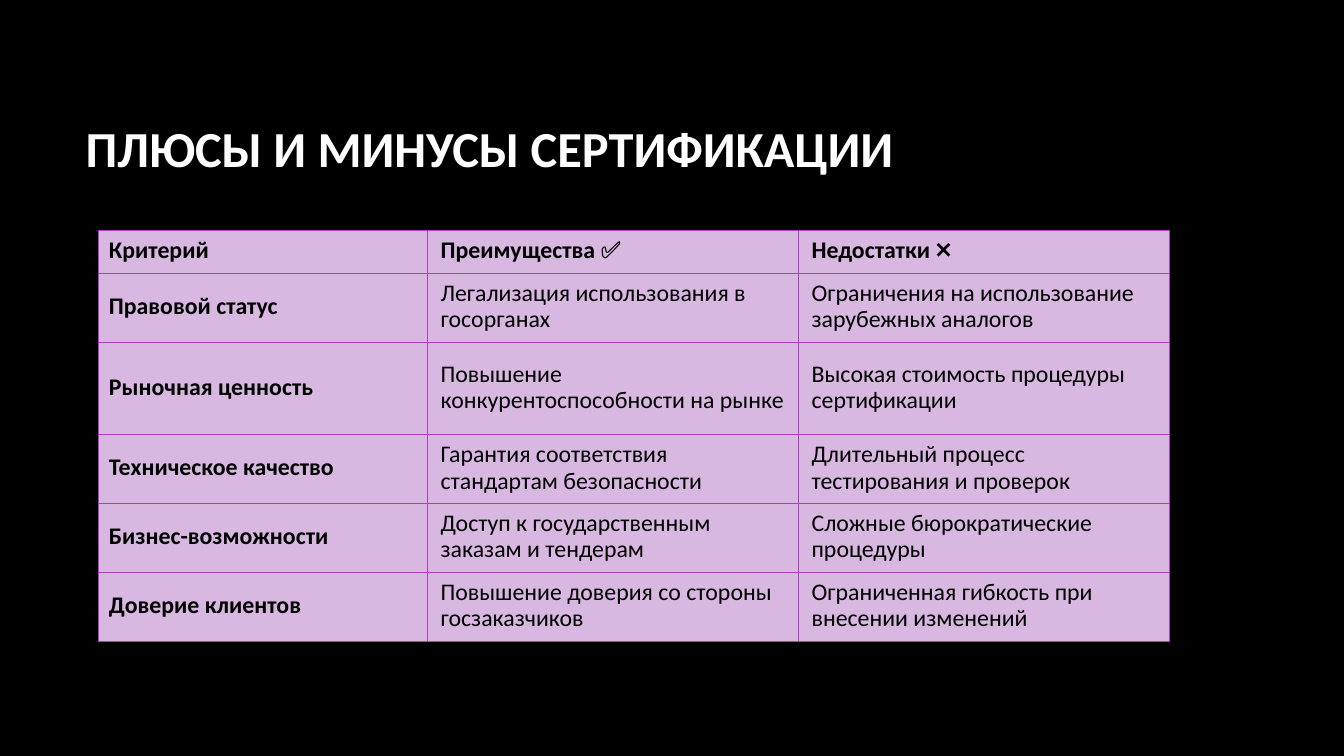
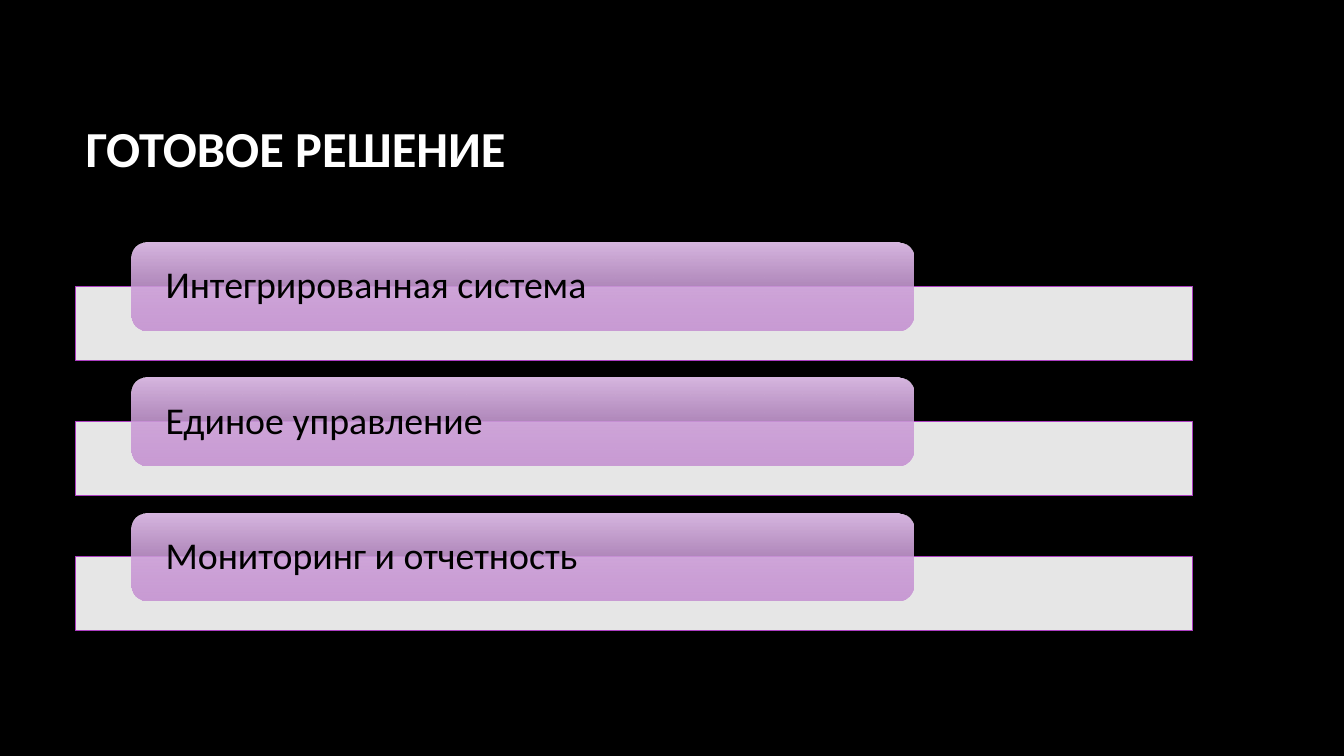
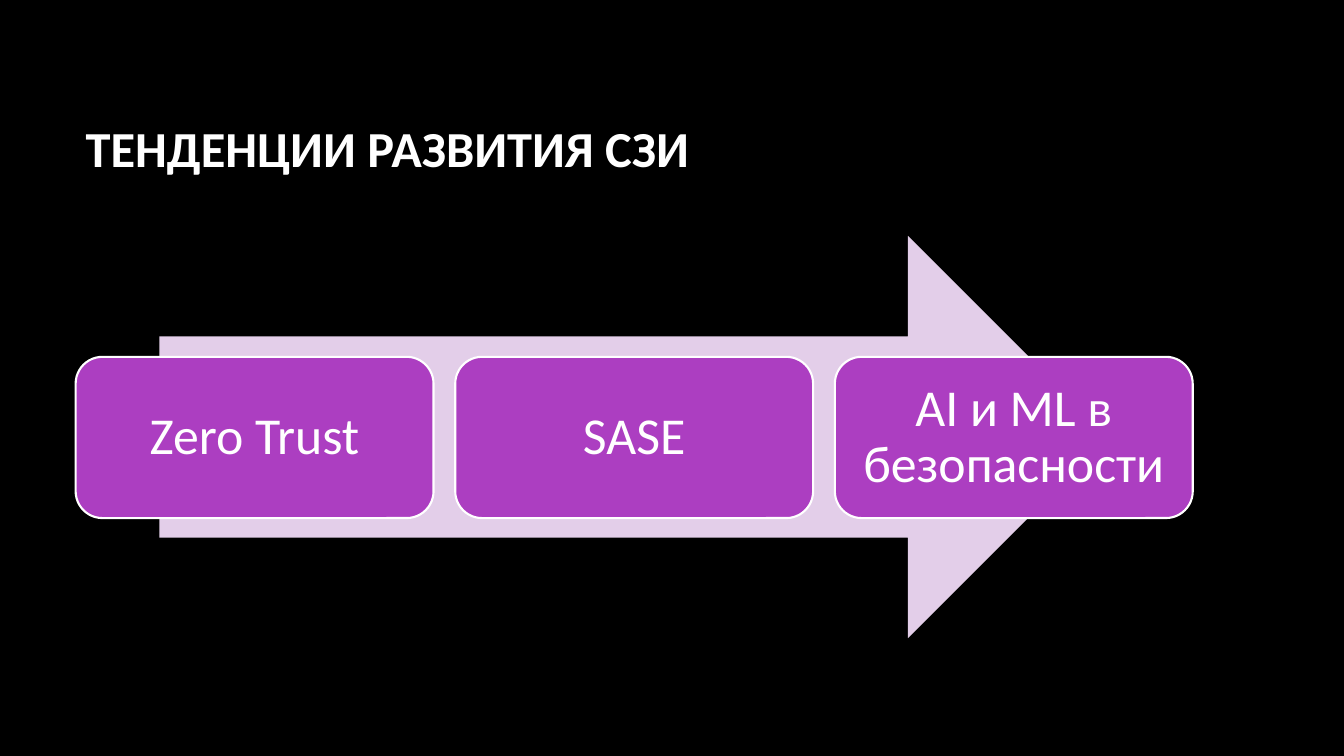
from dataclasses import dataclass

from lxml.etree import SubElement
from pptx import Presentation
from pptx.dml.color import RGBColor
from pptx.enum.shapes import MSO_SHAPE as Shape
from pptx.enum.text import MSO_ANCHOR as Anchor, PP_ALIGN as Align
from pptx.oxml.ns import qn
from pptx.util import Inches, Pt


@dataclass(frozen=True)
class Theme:
    font: str = "Calibri"
    black: RGBColor = RGBColor.from_string("000000")
    white: RGBColor = RGBColor.from_string("FFFFFF")
    purple: RGBColor = RGBColor.from_string("AC3EC1")
    lilac: RGBColor = RGBColor.from_string("D8B7E1")
    orchid: RGBColor = RGBColor.from_string("BF82CE")
    pale: RGBColor = RGBColor.from_string("E3CEE9")
    title_size: Pt = Pt(36)
    table_size: Pt = Pt(17)
    table_leading: Pt = Pt(18.8)
    bar_size: Pt = Pt(27)
    card_size: Pt = Pt(37)
    thin: Pt = Pt(0.75)
    thick: Pt = Pt(1.5)


theme = Theme()
LEFT, WIDTH = 0.75, 11.08


def write(frame, text, size, color, bold=False, align=Align.LEFT, spacing=None):
    """Put one formatted, vertically centred paragraph in a text frame."""
    frame.word_wrap = True
    frame.vertical_anchor = Anchor.MIDDLE
    paragraph = frame.paragraphs[0]
    paragraph.text = text
    paragraph.alignment = align
    paragraph.line_spacing = spacing
    font = paragraph.font
    font.name, font.size, font.bold = theme.font, size, bold
    font.color.rgb = color


def add_block(slide, kind, left, top, width, height, fill, line=None, weight=None, alpha=None):
    """Add a flat shape; a list of two colours makes a vertical gradient, alpha acts on the last."""
    shape = slide.shapes.add_shape(kind, Inches(left), Inches(top), Inches(width), Inches(height))
    shape.shadow.inherit = False
    if isinstance(fill, list):
        shape.fill.gradient()
        shape.fill.gradient_angle = 270
        for stop, color in zip(shape.fill.gradient_stops, fill):
            stop.color.rgb = color
    else:
        shape.fill.solid()
        shape.fill.fore_color.rgb = fill
    if alpha:
        colors = list(shape._element.spPr.iter(qn("a:srgbClr")))
        SubElement(colors[-1], qn("a:alpha"), val=str(alpha * 1000))
    if line is None:
        shape.line.fill.background()
    else:
        shape.line.color.rgb = line
        shape.line.width = weight
    return shape


presentation = Presentation()
presentation.slide_width, presentation.slide_height = Inches(13.33), Inches(7.5)

# Shared background and titles
background = presentation.slide_master.background.fill
background.solid()
background.fore_color.rgb = theme.black

slides = []
for heading in ("ПЛЮСЫ И МИНУСЫ СЕРТИФИКАЦИИ", "ГОТОВОЕ РЕШЕНИЕ", "ТЕНДЕНЦИИ РАЗВИТИЯ СЗИ"):
    slide = presentation.slides.add_slide(presentation.slide_layouts[5])
    title = slide.shapes.title
    title.left, title.top = Inches(LEFT), Inches(0.67)
    title.width, title.height = Inches(WIDTH), Inches(1.59)
    write(title.text_frame, heading, theme.title_size, theme.white, bold=True)
    slides.append(slide)
comparison_slide, solution_slide, trends_slide = slides

# Comparison table
rows = (
    ("Критерий", "Преимущества ✅", "Недостатки ❌"),
    ("Правовой статус", "Легализация использования в госорганах",
     "Ограничения на использование зарубежных аналогов"),
    ("Рыночная ценность", "Повышение конкурентоспособности на рынке",
     "Высокая стоимость процедуры сертификации"),
    ("Техническое качество", "Гарантия соответствия стандартам безопасности",
     "Длительный процесс тестирования и проверок"),
    ("Бизнес-возможности", "Доступ к государственным заказам и тендерам",
     "Сложные бюрократические процедуры"),
    ("Доверие клиентов", "Повышение доверия со стороны госзаказчиков",
     "Ограниченная гибкость при внесении изменений"),
)
column_widths = (3.26, 3.68, 3.68)
row_heights = (0.41, 0.67, 0.92, 0.67, 0.67, 0.67)
table = comparison_slide.shapes.add_table(
    len(rows), len(column_widths), Inches(0.98), Inches(2.29),
    Inches(sum(column_widths)), Inches(sum(row_heights))).table
for column, width in zip(table.columns, column_widths):
    column.width = Inches(width)
for row_index, (texts, height) in enumerate(zip(rows, row_heights)):
    table.rows[row_index].height = Inches(height)
    for column_index, text in enumerate(texts):
        cell = table.cell(row_index, column_index)
        write(cell.text_frame, text, theme.table_size, theme.black,
              bold=row_index == 0 or column_index == 0, spacing=theme.table_leading)
        cell.vertical_anchor = Anchor.MIDDLE
        cell.margin_left = Inches(0.13 if column_index else 0.1)
        cell.margin_right = Inches(0.13)
        cell.margin_top = cell.margin_bottom = Inches(0.08)
        properties = cell._tc.get_or_add_tcPr()
        for side in ("a:lnL", "a:lnR", "a:lnT", "a:lnB"):
            border = SubElement(properties, qn(side), w=str(int(theme.thin)))
            border_fill = SubElement(border, qn("a:solidFill"))
            SubElement(border_fill, qn("a:srgbClr"), val=str(theme.purple))
        cell.fill.solid()
        cell.fill.fore_color.rgb = theme.lilac

# Solution bars with overlapping labels
for index, text in enumerate(("Интегрированная система", "Единое управление",
                              "Мониторинг и отчетность")):
    top = 2.41 + index * 1.34
    add_block(solution_slide, Shape.RECTANGLE, LEFT, top + 0.43, WIDTH, 0.74,
              theme.white, theme.purple, theme.thin, alpha=90)
    label = add_block(solution_slide, Shape.ROUNDED_RECTANGLE, 1.3, top, 7.76, 0.87,
                      [theme.lilac, theme.orchid], alpha=74)
    frame = label.text_frame
    frame.margin_left = frame.margin_right = Inches(0.3)
    frame.margin_top = frame.margin_bottom = 0
    write(frame, text, theme.bar_size, theme.black, spacing=0.9)

# Trend cards on an arrow
add_block(trends_slide, Shape.RIGHT_ARROW, 1.58, 2.34, 9.42, 3.99, theme.pale)
trends = ("Zero Trust", "SASE", "AI и ML в безопасности")
card_width = 3.55
card_step = (WIDTH - card_width) / (len(trends) - 1)
for index, text in enumerate(trends):
    card = add_block(trends_slide, Shape.ROUNDED_RECTANGLE, LEFT + index * card_step, 3.54,
                     card_width, 1.6, theme.purple, theme.white, theme.thick)
    frame = card.text_frame
    frame.margin_left = frame.margin_right = Inches(0.15)
    frame.margin_top = frame.margin_bottom = Inches(0.15)
    write(frame, text, theme.card_size, theme.white, align=Align.CENTER, spacing=0.9)

presentation.save("out.pptx")
